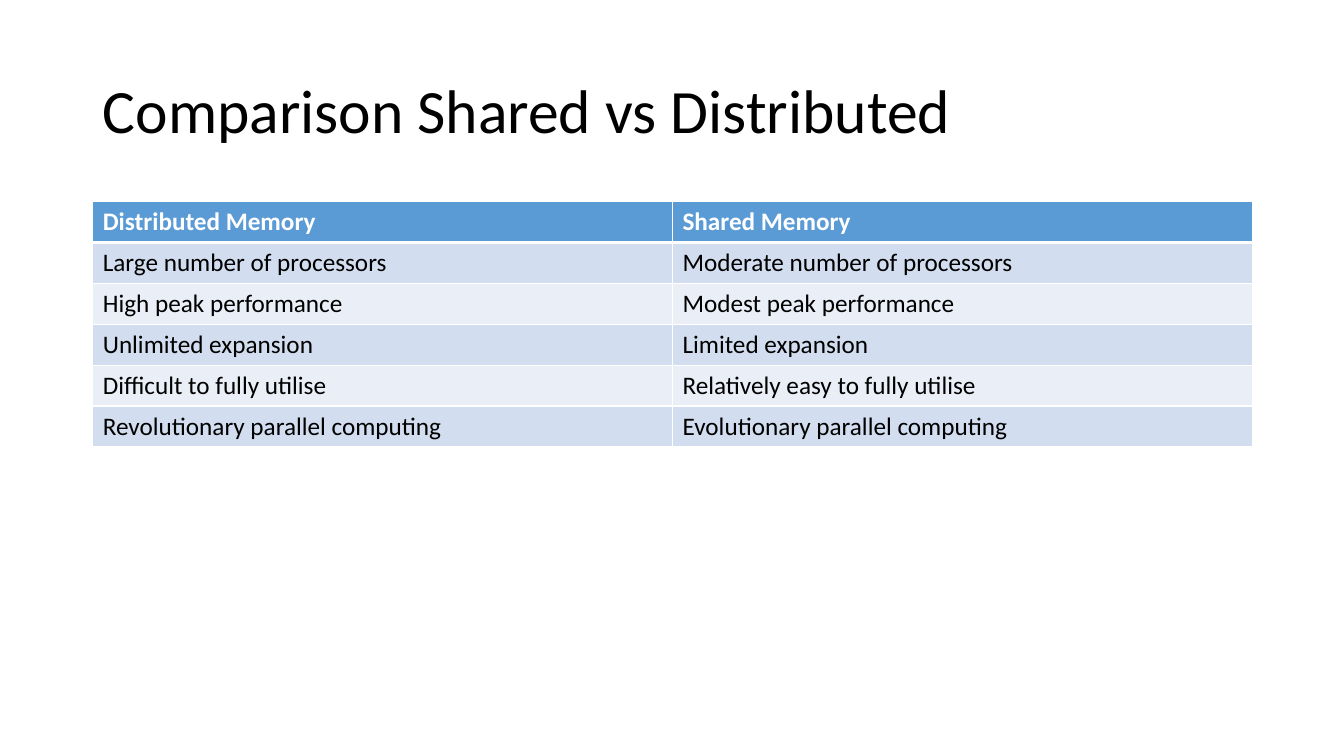
"""Build a slide comparing distributed and shared memory in a table."""
from lxml import etree
from pptx import Presentation
from pptx.dml.color import RGBColor
from pptx.enum import text
from pptx.oxml import ns
from pptx.util import Inches, Pt

TITLE = "Comparison Shared vs Distributed"
ROWS = [
    ("Distributed Memory", "Shared Memory"),
    ("Large number of processors", "Moderate number of processors"),
    ("High peak performance", "Modest peak performance"),
    ("Unlimited expansion", "Limited expansion"),
    ("Difficult to fully utilise", "Relatively easy to fully utilise"),
    ("Revolutionary parallel computing", "Evolutionary parallel computing"),
]
HEADER, BANDS = "5B9BD5", ("EAEFF7", "D2DEEF")
WHITE, BLACK = "FFFFFF", "000000"
LEFT, WIDTH, ROW_HEIGHT = 0.92, 11.5, 0.405


def rgb(value):
    """Turn a hex string into a colour."""
    return RGBColor.from_string(value)


def write(tf, content, size=18, color=BLACK, bold=False):
    """Put one formatted line of text in a text frame."""
    p = tf.paragraphs[0]
    p.alignment = text.PP_ALIGN.LEFT
    r = p.add_run()
    r.text = content
    r.font.name, r.font.size, r.font.bold = "Calibri", Pt(size), bold
    r.font.color.rgb = rgb(color)
    return p


def add_borders(cell, **widths):
    """Draw white borders of the given point widths around a cell."""
    tc_pr = cell._tc.get_or_add_tcPr()
    for side, width in widths.items():
        ln = etree.SubElement(tc_pr, ns.qn(f"a:ln{side}"), w=str(Pt(width)))
        fill = etree.SubElement(ln, ns.qn("a:solidFill"))
        etree.SubElement(fill, ns.qn("a:srgbClr"), val=WHITE)


prs = Presentation()
prs.slide_width, prs.slide_height = Inches(13.33), Inches(7.5)
s = prs.slides.add_slide(prs.slide_layouts[5])

title = s.shapes.title
title.left, title.top = Inches(LEFT), Inches(0.4)
title.width, title.height = Inches(WIDTH), Inches(1.45)
title.text_frame.vertical_anchor = text.MSO_ANCHOR.MIDDLE
write(title.text_frame, TITLE, size=44).line_spacing = 0.9

table = s.shapes.add_table(
    len(ROWS), len(ROWS[0]), Inches(LEFT), Inches(2),
    Inches(WIDTH), Inches(ROW_HEIGHT * len(ROWS))).table
for i, row in enumerate(ROWS):
    is_header = i == 0
    for j, content in enumerate(row):
        cell = table.cell(i, j)
        add_borders(cell, L=1, R=1, T=3 if i == 1 else 1, B=3 if is_header else 1)
        cell.fill.solid()
        cell.fill.fore_color.rgb = rgb(HEADER if is_header else BANDS[i % 2])
        write(cell.text_frame, content, color=WHITE if is_header else BLACK, bold=is_header)

prs.save("out.pptx")
